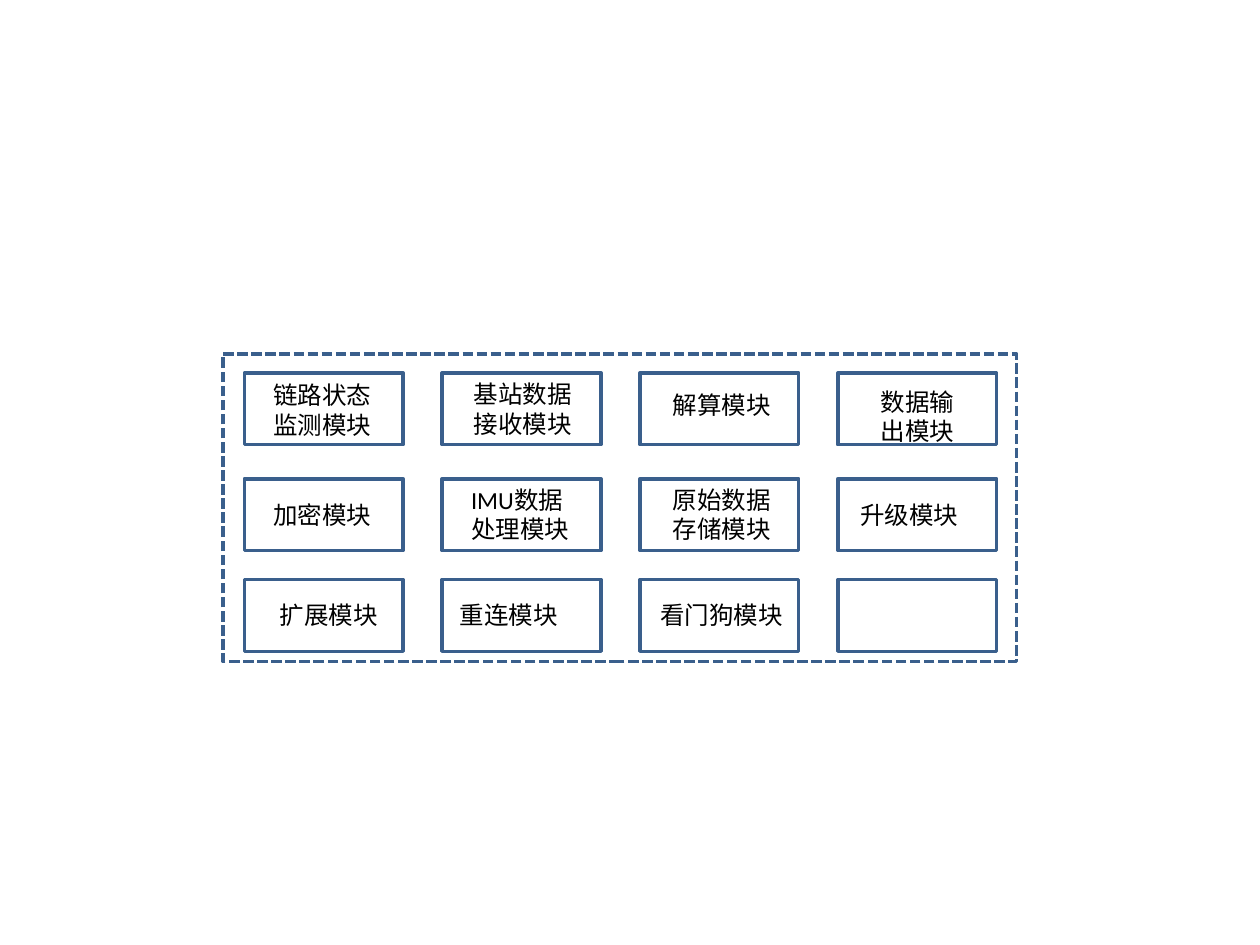
from pptx import Presentation
from pptx.dml.color import RGBColor
from pptx.enum.dml import MSO_LINE
from pptx.enum.shapes import MSO_SHAPE
from pptx.enum.text import MSO_AUTO_SIZE
from pptx.util import Inches, Pt

COLUMN_STEP, BOX_WIDTH, BOX_HEIGHT = 1.57, 1.26, 0.57
GRID_LEFT, ROW_TOPS = 1.94, (2.96, 3.8, 4.6)
FRAME = (1.77, 2.81, 6.3, 2.44)

# Each label: paragraphs, offset from its box, width, wrap
MODULES = [
    [
        (["链路状态监测模块"], 0.13, 0.01, 1.1, True),
        (["基站数据接收模块"], 0.15, 0, 1.11, True),
        (["解算模块"], 0.16, 0.09, 1.1, True),
        (["数据输", "出模块"], 0.24, 0.06, 0.79, False),
    ],
    [
        (["加密模块"], 0.13, 0.12, 0.99, False),
        (["IMU数据", "处理模块"], 0.13, 0, 0.99, False),
        (["原始数据", "存储模块"], 0.16, 0, 0.99, False),
        (["升级模块"], 0.08, 0.12, 1.18, True),
    ],
    [
        (["扩展模块"], 0.18, 0.11, 0.99, False),
        (["重连模块"], 0.04, 0.11, 0.99, False),
        (["看门狗模块"], 0.06, 0.11, 1.18, False),
        None,
    ],
]


def color(value):
    """Turn a hex string into a colour."""
    return RGBColor.from_string(value)


def add_box(slide, left, top, width, height, dash=None):
    """Add an unfilled, outlined rectangle."""
    box = slide.shapes.add_shape(
        MSO_SHAPE.RECTANGLE, Inches(left), Inches(top), Inches(width), Inches(height))
    box.shadow.inherit = False
    box.fill.background()
    box.line.color.rgb = color("3A5F8C")
    box.line.width = Pt(2)
    if dash:
        box.line.dash_style = dash


def add_label(slide, paragraphs, left, top, width, height, wrap=True,
              size=14, font="Calibri", ink="000000"):
    """Add a text box with one paragraph per string."""
    label = slide.shapes.add_textbox(
        Inches(left), Inches(top), Inches(width), Inches(height))
    frame = label.text_frame
    frame.word_wrap = wrap
    frame.auto_size = MSO_AUTO_SIZE.SHAPE_TO_FIT_TEXT
    frame.text = "\n".join(paragraphs)
    for paragraph in frame.paragraphs:
        for run in paragraph.runs:
            run.font.size = Pt(size)
            run.font.name = font
            run.font.color.rgb = color(ink)


presentation = Presentation()
presentation.slide_width, presentation.slide_height = Inches(10), Inches(7.5)
slide = presentation.slides.add_slide(presentation.slide_layouts[6])

add_box(slide, *FRAME, dash=MSO_LINE.SQUARE_DOT)
for top, row in zip(ROW_TOPS, MODULES):
    for column, module in enumerate(row):
        left = GRID_LEFT + column * COLUMN_STEP
        add_box(slide, left, top, BOX_WIDTH, BOX_HEIGHT)
        if module:
            paragraphs, shift_x, shift_y, width, wrap = module
            two_lines = len("".join(paragraphs)) > 5
            add_label(slide, paragraphs, left + shift_x, top + shift_y, width,
                      0.57 if two_lines else 0.34, wrap=wrap)

presentation.save("out.pptx")
